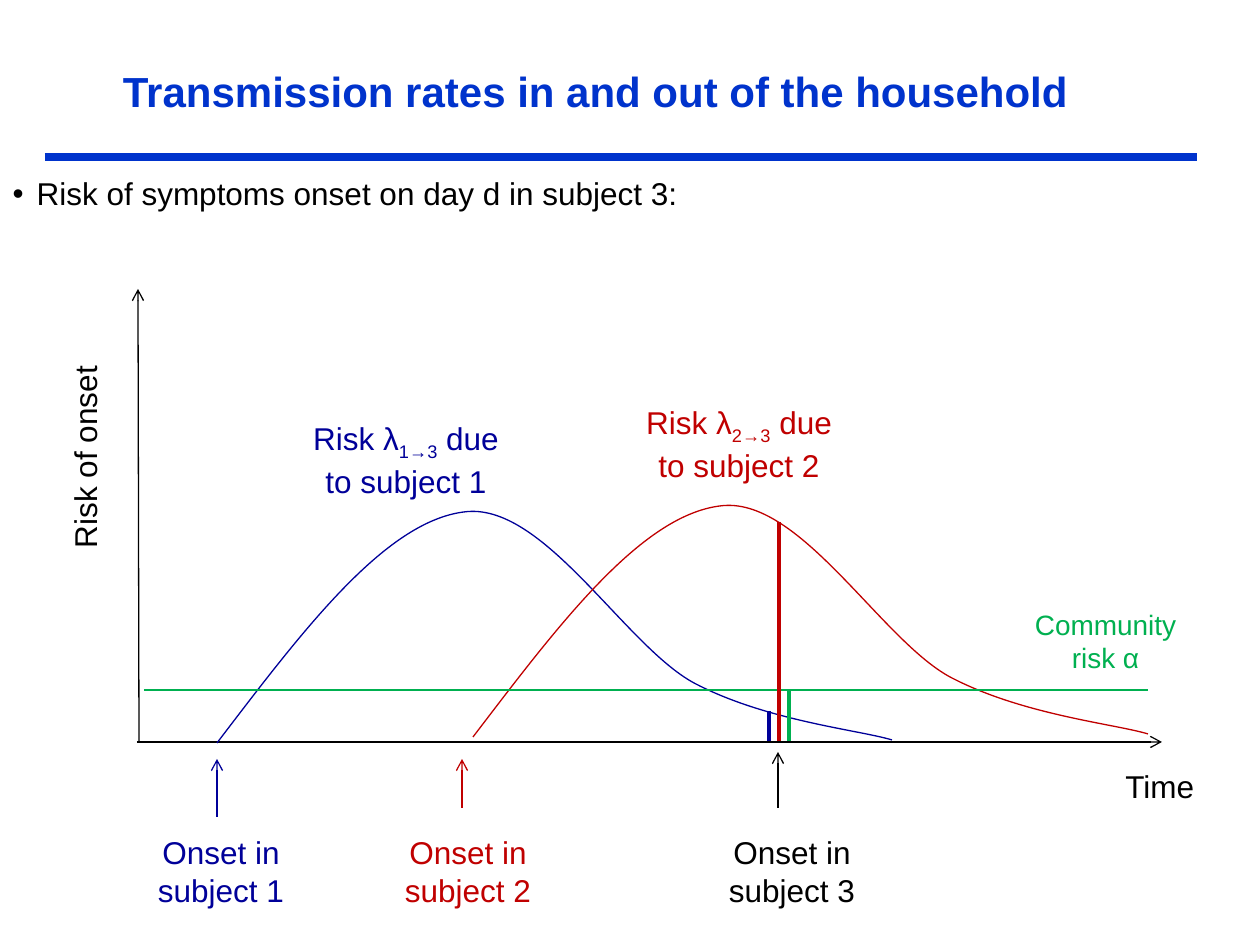
from lxml.etree import SubElement
from pptx import Presentation
from pptx.dml.color import RGBColor
from pptx.enum.text import MSO_ANCHOR, MSO_AUTO_SIZE, PP_ALIGN
from pptx.oxml.ns import qn
from pptx.util import Emu, Pt

SCALE = 914400 / 126
BLUE, NAVY, RED, GREEN, BLACK = "0033CC", "000099", "C00000", "00B050", "000000"

# Content: lengths in px
TITLE = "Transmission rates in and out of the household"
BULLET = "Risk of symptoms onset on day d in subject 3:"
AXES = [(137, 742, 1162, 742), (139, 743, 138, 289)]
# subject, colour, label left, arrow x, arrow bottom, arrow top
ONSETS = [
    (1, NAVY, 137, 217, 817, 759),
    (2, RED, 384, 462, 808, 759),
    (3, BLACK, 708, 778, 808, 752),
]
# subject, colour, curve offset, label box
RISKS = [
    (1, NAVY, (0, 0), (292, 413, 228, 89)),
    (2, RED, (256, -6), (630, 397, 218, 89)),
]
# start point, then three control points for each Bezier segment
CURVE = [
    (217, 743),
    (301, 633), (384, 522), (464, 512),
    (543, 501), (624, 645), (694, 683),
    (766, 721), (859, 730), (892, 740),
]
# x, top, colour of the risks on the day of onset
BARS = [(769, 711, NAVY), (789, 690, GREEN), (779, 522, RED)]
BAR_BOTTOM = 741


def px(n):
    return Emu(round(n * SCALE))


def rgb(value):
    return RGBColor.from_string(value)


def place(sp, box):
    sp.left, sp.top, sp.width, sp.height = map(px, box)


def write(sp, runs, size=18, color=BLACK, bold=False, align=PP_ALIGN.CENTER,
          wrap=True, anchor=MSO_ANCHOR.TOP):
    """Fill a shape with one paragraph; runs are (text, is_subscript) pairs."""
    tf = sp.text_frame
    tf.auto_size = MSO_AUTO_SIZE.NONE
    tf.word_wrap = wrap
    tf.vertical_anchor = anchor
    p = tf.paragraphs[0]
    p.alignment = align
    p.space_before = Pt(0)
    for text, sub in [(runs, False)] if isinstance(runs, str) else runs:
        r = p.add_run()
        r.text = text
        f = r.font
        f.name, f.size, f.bold = "Arial", Pt(size), bold
        f.color.rgb = rgb(color)
        if sub:
            r._r.get_or_add_rPr().set("baseline", "-25000")
    return p


def add_text(box, runs, **fmt):
    sp = s.shapes.add_textbox(*map(px, box))
    write(sp, runs, **fmt)
    return sp


def add_line(x1, y1, x2, y2, color=BLACK, width=0.75, arrow=False):
    cn = s.shapes.add_connector(1, px(x1), px(y1), px(x2), px(y2))
    cn.line.color.rgb = rgb(color)
    cn.line.width = Pt(width)
    if arrow:
        SubElement(cn.line._get_or_add_ln(), qn("a:tailEnd"), type="arrow")
    SubElement(cn._element.spPr, qn("a:effectLst"))


def add_curve(points, color):
    fb = s.shapes.build_freeform(*points[0], scale=SCALE)
    fb.add_line_segments(points[1:], close=False)
    sp = fb.convert_to_shape()
    sp.shadow.inherit = False
    sp.fill.background()
    sp.line.color.rgb = rgb(color)
    sp.line.width = Pt(0.75)
    # Merge each three straight segments into one cubic Bezier
    outline = sp._element.find(".//" + qn("a:path"))
    lines = outline.findall(qn("a:lnTo"))
    for i in range(0, len(lines), 3):
        bez = SubElement(outline, qn("a:cubicBezTo"))
        for ln in lines[i:i + 3]:
            bez.append(ln[0])
            outline.remove(ln)


prs = Presentation()
prs.slide_width, prs.slide_height = px(1260), px(945)
s = prs.slides.add_slide(prs.slide_layouts[1])

# Title, rule and bullet
title, body = s.placeholders
place(title, (0, 59, 1191, 63))
write(title, TITLE, size=24, color=BLUE, bold=True, anchor=MSO_ANCHOR.BOTTOM)
add_line(45, 157, 1197, 157, BLUE, 4.5)
place(body, (0, 168, 1250, 50))
p = write(body, BULLET, align=PP_ALIGN.LEFT)
p.space_after = Pt(6)
pPr = p._p.get_or_add_pPr()
pPr.set("marL", str(px(24)))
pPr.set("indent", str(px(-24)))
SubElement(pPr, qn("a:buChar"), char="•")

# Axes
for axis in AXES:
    add_line(*axis, arrow=True)
add_text((1113, 761, 95, 50), "Time", align=PP_ALIGN.LEFT, wrap=False)
label = add_text((-20, 431, 209, 50), "Risk of onset", align=PP_ALIGN.LEFT, wrap=False)
label.rotation = 270

# Onset arrows and labels
for n, color, left, x, bottom, top in ONSETS:
    add_line(x, bottom, x, top, color, arrow=True)
    add_text((left, 827, 168, 89), f"Onset in subject {n}", color=color)

# Risk curves and labels
for n, color, (dx, dy), box in RISKS:
    add_curve([(x + dx, y + dy) for x, y in CURVE], color)
    runs = [("Risk λ", False), (f"{n}→3", True), (f" due to subject {n}", False)]
    add_text(box, runs, color=color)

# Community risk
add_line(144, 690, 1148, 690, GREEN)
add_text((1007, 601, 197, 81), "Community risk α", size=16, color=GREEN)

# Risks on the day of onset in subject 3
for x, top, color in BARS:
    add_line(x, top, x, BAR_BOTTOM, color, 2)

prs.save("out.pptx")
